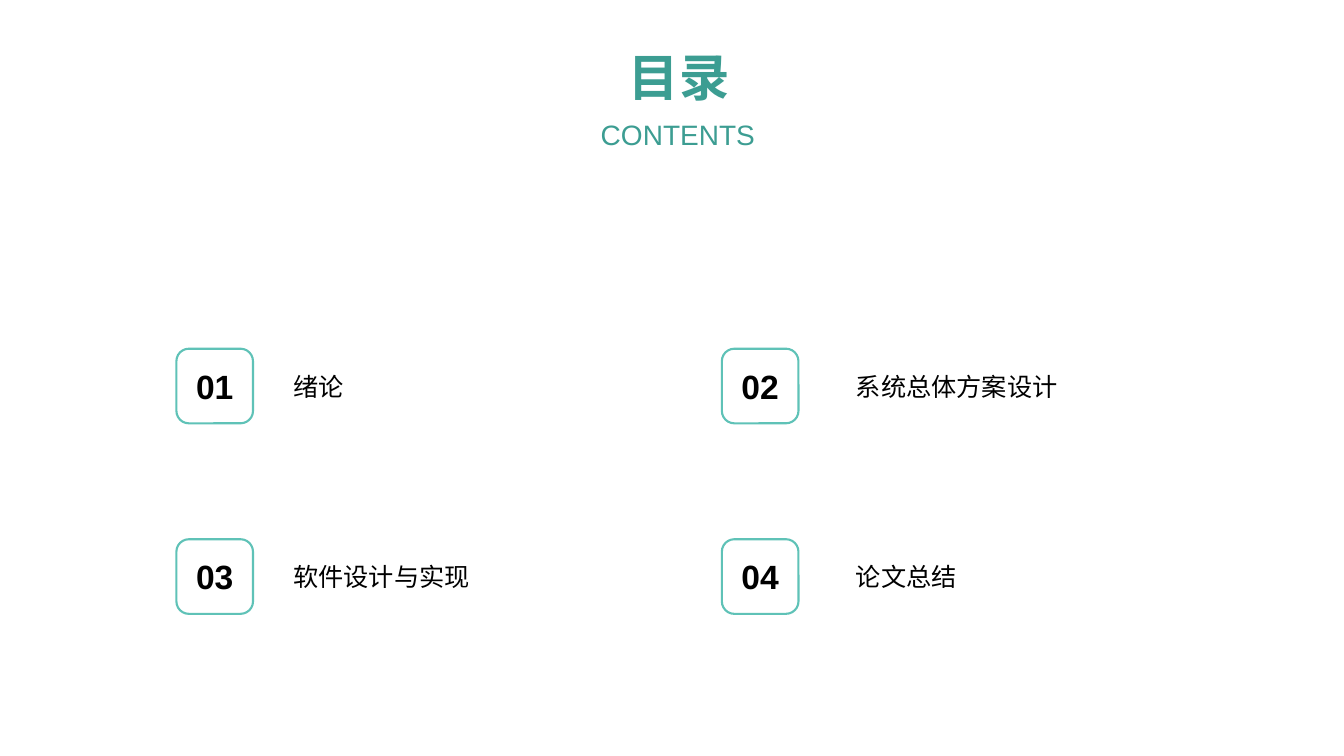
from pptx import Presentation
from pptx.dml.color import RGBColor
from pptx.enum.shapes import MSO_SHAPE as SHAPE
from pptx.enum.text import MSO_ANCHOR as ANCHOR, MSO_AUTO_SIZE as AUTO, PP_ALIGN as ALIGN
from pptx.util import Inches, Pt

# Content
TITLE, SUBTITLE = "目录", "CONTENTS"
CHAPTERS = [["绪论", "系统总体方案设计"],
            ["软件设计与实现", "论文总结"]]

# Style
FONT = "Arial"
TEAL = RGBColor(0x3C, 0x9D, 0x92)
MINT = RGBColor(0x5F, 0xC2, 0xB7)
BLACK = RGBColor(0, 0, 0)

# Grid, in inches
HEAD_X, HEAD_W = 5.86, 1.75
BADGE_W, BADGE_H = 0.76, 0.74
LABEL_H = 0.4
COLUMNS = [(1.75, 2.81, 4.44), (7.16, 8.39, 3.6)]  # badge left, label left, label width
ROW_TOP, ROW_STEP = 3.46, 1.89

prs = Presentation()
prs.slide_width, prs.slide_height = Inches(13.33), Inches(7.5)
s = prs.slides.add_slide(prs.slide_layouts[6])


def write(sp, text, size, color, align, anchor=ANCHOR.TOP, bold=False):
    tf = sp.text_frame
    tf.text = text
    tf.word_wrap = True
    tf.vertical_anchor = anchor
    p = tf.paragraphs[0]
    p.alignment = align
    font = p.runs[0].font
    font.name, font.size, font.bold = FONT, Pt(size), bold
    font.color.rgb = color
    return tf


def add_text(x, y, w, h, *style, **options):
    sp = s.shapes.add_textbox(Inches(x), Inches(y), Inches(w), Inches(h))
    return write(sp, *style, **options)


def add_badge(x, y, number):
    sp = s.shapes.add_shape(SHAPE.ROUNDED_RECTANGLE, Inches(x), Inches(y),
                            Inches(BADGE_W), Inches(BADGE_H))
    sp.shadow.inherit = False
    sp.fill.background()
    sp.line.color.rgb = MINT
    sp.line.width = Pt(1.5)
    write(sp, f"{number:02d}", 24, BLACK, ALIGN.CENTER, ANCHOR.MIDDLE, bold=True)


# Heading
add_text(HEAD_X, 0.34, HEAD_W, 0.77, TITLE, 36, TEAL, ALIGN.CENTER,
         anchor=ANCHOR.BOTTOM, bold=True)
tf = add_text(HEAD_X, 1.12, HEAD_W, 0.44, SUBTITLE, 20, TEAL, ALIGN.JUSTIFY)
tf.auto_size = AUTO.SHAPE_TO_FIT_TEXT

# Numbered chapters
for row, names in enumerate(CHAPTERS):
    top = ROW_TOP + row * ROW_STEP
    label_top = top + (BADGE_H - LABEL_H) / 2
    for col, (badge_x, label_x, label_w) in enumerate(COLUMNS):
        add_badge(badge_x, top, row * len(COLUMNS) + col + 1)
        tf = add_text(label_x, label_top, label_w, LABEL_H, names[col], 18, BLACK, ALIGN.LEFT)
        tf.auto_size = AUTO.SHAPE_TO_FIT_TEXT

prs.save("out.pptx")
